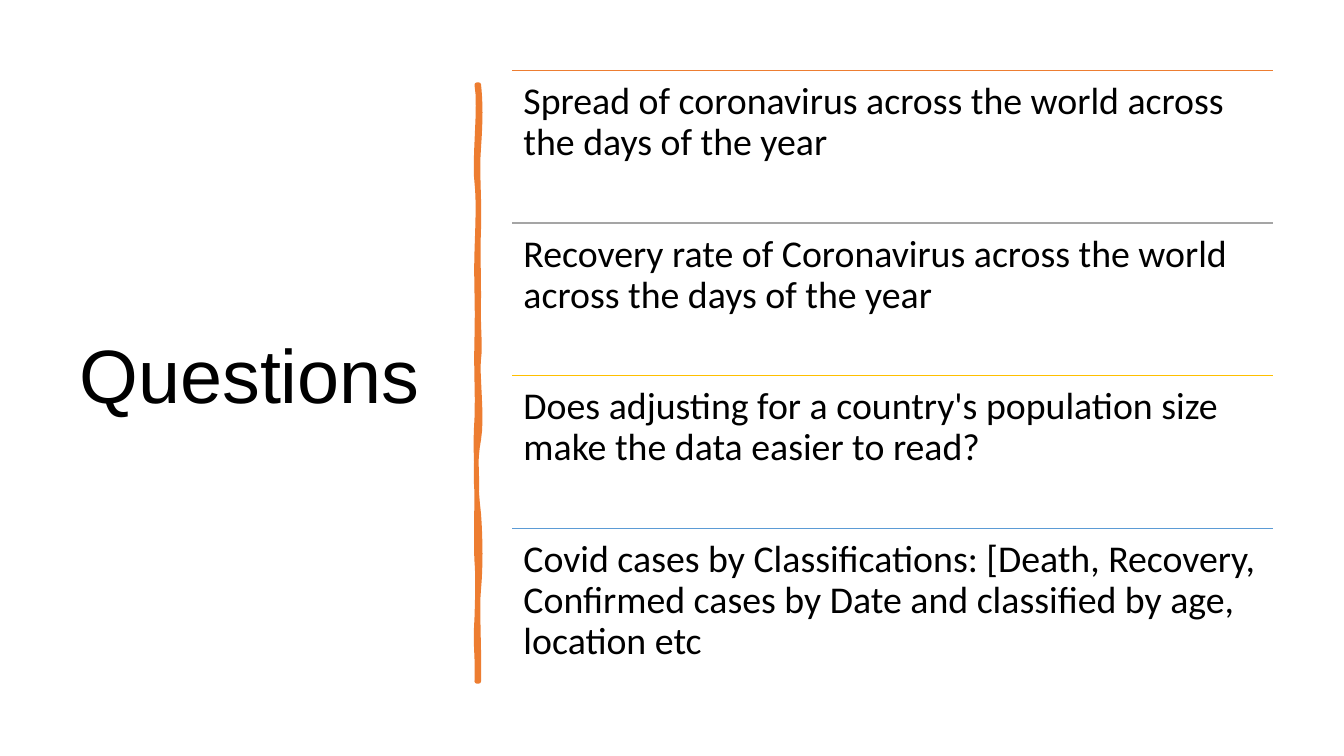
from lxml.etree import SubElement
from pptx import Presentation
from pptx.dml.color import RGBColor
from pptx.enum.text import MSO_ANCHOR
from pptx.oxml.ns import qn
from pptx.util import Pt

TITLE = "Questions"
QUESTIONS = [
    ("Spread of coronavirus across the world across the days of the year", "ED7D31"),
    ("Recovery rate of Coronavirus across the world across the days of the year", "A5A5A5"),
    ("Does adjusting for a country's population size make the data easier to read?", "FFC000"),
    ("Covid cases by Classifications: [Death, Recovery, Confirmed cases by Date "
     "and classified by age, location etc", "5B9BD5"),
]
THEME = {
    "text": "000000", "brush": "ED7D31",
    "title_font": "Arial", "body_font": "Calibri",
    "title_size": 54, "body_size": 27,
    "brush_width": 3.25, "rule_width": 1,
}
TITLE_BOX = (49.7, 50.4, 269.3, 439.9)
LIST_LEFT, LIST_TOP, LIST_WIDTH, ROW_HEIGHT = 365.8, 50.4, 543.6, 109

BRUSH_TOP, BRUSH_BOTTOM = 60.5, 486.7
RIGHT_X, LEFT_X = 342, 340.6
RIGHT_EDGE = [
    ((1.4, 73.4), (1.4, 85.7), (0, 105.1)),
    ((-1.4, 124.6), (0.7, 140.4), (0, 162.7)),
    ((-0.7, 185), (0, 188.6), (0, 211.7)),
    ((-0.7, 234), (1.4, 246.2), (0, 256.3)),
    ((-1.4, 266.4), (2.9, 298.1), (0, 313.9)),
    ((-2.9, 329), (-2.2, 348.5), (0, 367.2)),
    ((1.4, 385.9), (1.4, 406.1), (0, 420.5)),
    ((-1.4, 434.2), (0.7, 468), (0, BRUSH_BOTTOM)),
]
LEFT_EDGE = [
    ((0.7, 465.1), (-1.4, 463.7), (0, 441.4)),
    ((0.7, 419.8), (0.7, 410.4), (0, 401)),
    ((-0.7, 391.7), (0, 356.4), (0, 343.4)),
    ((0, 330.5), (-1.4, 320.4), (0, 298.8)),
    ((0.7, 277.9), (-0.7, 268.6), (0, 241.2)),
    ((0.7, 214.6), (-0.7, 202.3), (0, 180)),
    ((0.7, 157), (1.4, 144), (0, 130.3)),
    ((-2.2, 117.4), (2.9, 74.9), (0, BRUSH_TOP)),
]


def color(value):
    return RGBColor.from_string(value)


def trace_edge(x, start_y, curves, steps=8):
    points = [(x, start_y)]
    start = (0, start_y)
    for c1, c2, end in curves:
        for i in range(1, steps + 1):
            t = i / steps
            dx, y = (
                (1 - t) ** 3 * a + 3 * (1 - t) ** 2 * t * b
                + 3 * (1 - t) * t ** 2 * c + t ** 3 * d
                for a, b, c, d in zip(start, c1, c2, end)
            )
            points.append((x + dx, y))
        start = end
    return points


def add_brush(slide):
    outline = (trace_edge(RIGHT_X, BRUSH_TOP, RIGHT_EDGE)
               + trace_edge(LEFT_X, BRUSH_BOTTOM, LEFT_EDGE))
    points = [(Pt(x), Pt(y)) for x, y in outline]
    builder = slide.shapes.build_freeform(*points[0])
    builder.add_line_segments(points[1:], close=True)
    sp = builder.convert_to_shape()
    sp.shadow.inherit = False
    sp.fill.solid()
    sp.fill.fore_color.rgb = color(THEME["brush"])
    sp.line.color.rgb = color(THEME["brush"])
    sp.line.width = Pt(THEME["brush_width"])
    SubElement(sp.line._get_or_add_ln(), qn("a:round"))


def add_text(slide, box, text, role, inset_x, inset_y, anchor):
    sp = slide.shapes.add_textbox(*(Pt(v) for v in box))
    tf = sp.text_frame
    tf.word_wrap = True
    tf.vertical_anchor = anchor
    tf.margin_left = tf.margin_right = Pt(inset_x)
    tf.margin_top = tf.margin_bottom = Pt(inset_y)
    p = tf.paragraphs[0]
    p.text = text
    p.line_spacing = 0.9
    p.font.name = THEME[role + "_font"]
    p.font.size = Pt(THEME[role + "_size"])
    p.font.color.rgb = color(THEME["text"])


def add_rule(slide, y, value):
    line = slide.shapes.add_connector(
        1, Pt(LIST_LEFT), Pt(y), Pt(LIST_LEFT + LIST_WIDTH), Pt(y))
    line.line.color.rgb = color(value)
    line.line.width = Pt(THEME["rule_width"])
    SubElement(line._element.spPr, qn("a:effectLst"))


def main():
    prs = Presentation()
    prs.slide_width, prs.slide_height = Pt(960), Pt(540)
    s = prs.slides.add_slide(prs.slide_layouts[6])
    add_text(s, TITLE_BOX, TITLE, "title", 7.2, 3.6, MSO_ANCHOR.MIDDLE)
    add_brush(s)
    for i, (question, value) in enumerate(QUESTIONS):
        y = LIST_TOP + i * ROW_HEIGHT
        add_rule(s, y, value)
        add_text(s, (LIST_LEFT, y, LIST_WIDTH, ROW_HEIGHT), question,
                 "body", 8.1, 8.1, MSO_ANCHOR.TOP)
    prs.save("out.pptx")


if __name__ == "__main__":
    main()
